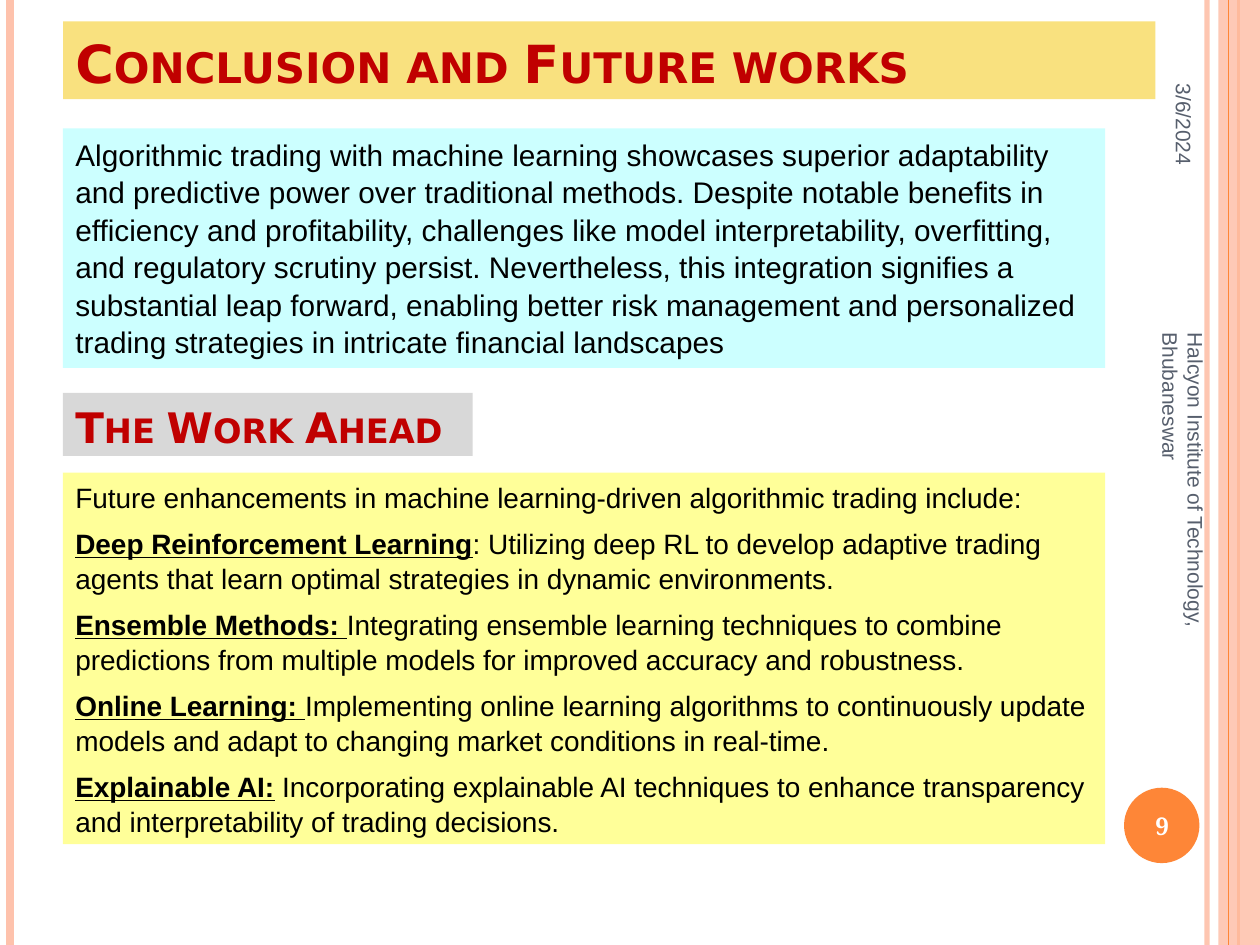
from lxml import etree
from pptx import Presentation
from pptx.dml.color import RGBColor
from pptx.enum.shapes import MSO_CONNECTOR, MSO_SHAPE
from pptx.enum.text import MSO_ANCHOR, MSO_AUTO_SIZE, PP_ALIGN
from pptx.oxml.ns import qn
from pptx.util import Cm, Pt

LEFT, CENTER, RIGHT = PP_ALIGN.LEFT, PP_ALIGN.CENTER, PP_ALIGN.RIGHT
TOP, MIDDLE = MSO_ANCHOR.TOP, MSO_ANCHOR.MIDDLE
NO_FIT = MSO_AUTO_SIZE.NONE
STRAIGHT = MSO_CONNECTOR.STRAIGHT
RECT, OVAL = MSO_SHAPE.RECTANGLE, MSO_SHAPE.OVAL

WIDTH, HEIGHT = 25.4, 19.05
MARGIN, BODY_WIDTH = 1.27, 21.01
PINK, ORANGE, RED, SLATE = "FEC2AC", "FE8637", "C00000", "575F6D"
SANS, HEADING, SERIF = "Arial", "DejaVu Sans", "Noto Serif"

SUMMARY = (
    "Algorithmic trading with machine learning showcases superior adaptability and "
    "predictive power over traditional methods. Despite notable benefits in efficiency "
    "and profitability, challenges like model interpretability, overfitting, and "
    "regulatory scrutiny persist. Nevertheless, this integration signifies a substantial "
    "leap forward, enabling better risk management and personalized trading strategies "
    "in intricate financial landscapes"
)
INTRO = "Future enhancements in machine learning-driven algorithmic trading include:"
ENHANCEMENTS = [
    ("Deep Reinforcement Learning",
     ": Utilizing deep RL to develop adaptive trading agents that learn optimal "
     "strategies in dynamic environments."),
    ("Ensemble Methods: ",
     "Integrating ensemble learning techniques to combine predictions from multiple "
     "models for improved accuracy and robustness."),
    ("Online Learning: ",
     "Implementing online learning algorithms to continuously update models and adapt "
     "to changing market conditions in real-time."),
    ("Explainable AI:",
     " Incorporating explainable AI techniques to enhance transparency and "
     "interpretability of trading decisions."),
]


def rgb(color):
    return RGBColor.from_string(color)


def set_alpha(fill, percent):
    color = fill.find(".//" + qn("a:srgbClr"))
    etree.SubElement(color, qn("a:alpha")).set("val", str(percent * 1000))


def add_rule(s, x, color, width, alpha=None):
    line = s.shapes.add_connector(STRAIGHT, Cm(x), Cm(0), Cm(x), Cm(HEIGHT))
    line.line.color.rgb = rgb(color)
    line.line.width = Pt(width)
    sp_pr = line._element.spPr
    etree.SubElement(sp_pr, qn("a:effectLst"))
    if alpha:
        set_alpha(sp_pr, alpha)


def add_block(s, kind, box, color):
    sp = s.shapes.add_shape(kind, *map(Cm, box))
    sp.shadow.inherit = False
    sp.fill.solid()
    sp.fill.fore_color.rgb = rgb(color)
    sp.line.fill.background()
    return sp


def setup_frame(sp, anchor):
    tf = sp.text_frame
    tf.word_wrap = True
    tf.auto_size = NO_FIT
    tf.vertical_anchor = anchor
    tf.margin_left = tf.margin_right = Cm(0.25)
    tf.margin_top = tf.margin_bottom = Cm(0.13)
    return tf


def add_run(p, text, size, color, font=SANS, bold=False, underline=False):
    r = p.add_run()
    r.text = text
    r.font.size = Pt(size)
    r.font.name = font
    r.font.bold = bold
    r.font.underline = underline
    r.font.color.rgb = rgb(color)
    return r


def format_paragraph(p, align=LEFT, before=0, spacing=1.05):
    p.alignment = align
    p.space_before = Pt(before)
    p.line_spacing = spacing


def write_heading(sp, text, size):
    p = setup_frame(sp, TOP).paragraphs[0]
    format_paragraph(p)
    r = add_run(p, text, size, RED, HEADING, bold=True)
    r._r.get_or_add_rPr().set("cap", "small")


def write_body(sp, paragraphs, size):
    tf = setup_frame(sp, TOP)
    for i, (term, text) in enumerate(paragraphs):
        p = tf.paragraphs[0] if i == 0 else tf.add_paragraph()
        format_paragraph(p, before=6)
        if term:
            add_run(p, term, size, "000000", bold=True, underline=True)
        add_run(p, text, size, "000000")


def add_label(s, box, text, size, color, align, font=SANS, bold=False, rotation=0):
    sp = s.shapes.add_textbox(*map(Cm, box))
    sp.rotation = rotation
    p = setup_frame(sp, MIDDLE).paragraphs[0]
    format_paragraph(p, align, spacing=1.0)
    add_run(p, text, size, color, font, bold)


def add_title(s, box, text):
    title = s.shapes.title
    title.left, title.top, title.width, title.height = map(Cm, box)
    title.fill.solid()
    title.fill.fore_color.rgb = rgb("F9E17F")
    write_heading(title, text, 30)


def add_frame(s):
    add_rule(s, 24.33, PINK, 3, 93)
    add_rule(s, 0.21, PINK, 4.5)
    add_rule(s, 24.97, ORANGE, 1.5)
    band = add_block(s, RECT, (24.56, 0, WIDTH - 24.56, HEIGHT), PINK)
    set_alpha(band._element.spPr, 87)
    add_rule(s, 24.77, ORANGE, 0.75)
    add_block(s, OVAL, (22.66, 15.88, 1.52, 1.52), ORANGE)


def main():
    prs = Presentation()
    prs.slide_width, prs.slide_height = Cm(WIDTH), Cm(HEIGHT)
    s = prs.slides.add_slide(prs.slide_layouts[5])

    add_frame(s)
    add_title(s, (MARGIN, 0.43, 22.02, 1.57), "Conclusion and Future works")

    summary = add_block(s, RECT, (MARGIN, 2.59, BODY_WIDTH, 4.83), "CCFFFF")
    write_body(summary, [("", SUMMARY)], 17)
    heading = add_block(s, RECT, (MARGIN, 7.92, 8.26, 1.27), "D8D8D8")
    write_heading(heading, "The Work Ahead", 24)
    outlook = add_block(s, RECT, (MARGIN, 9.53, BODY_WIDTH, 7.49), "FFFF99")
    write_body(outlook, [("", INTRO)] + ENHANCEMENTS, 16)

    add_label(s, (22.45, 1.63, 2.84, 1.07), "3/6/2024", 12, SLATE, RIGHT, rotation=90)
    add_label(s, (22.58, 15.93, 1.7, 1.45), "9", 14, "FFFFFF", CENTER, SERIF, bold=True)
    add_label(s, (19.41, 10.39, 8.89, 1.02),
              "Halcyon Institute of Technology, Bhubaneswar", 12, SLATE, LEFT, rotation=90)

    prs.save("out.pptx")


if __name__ == "__main__":
    main()
